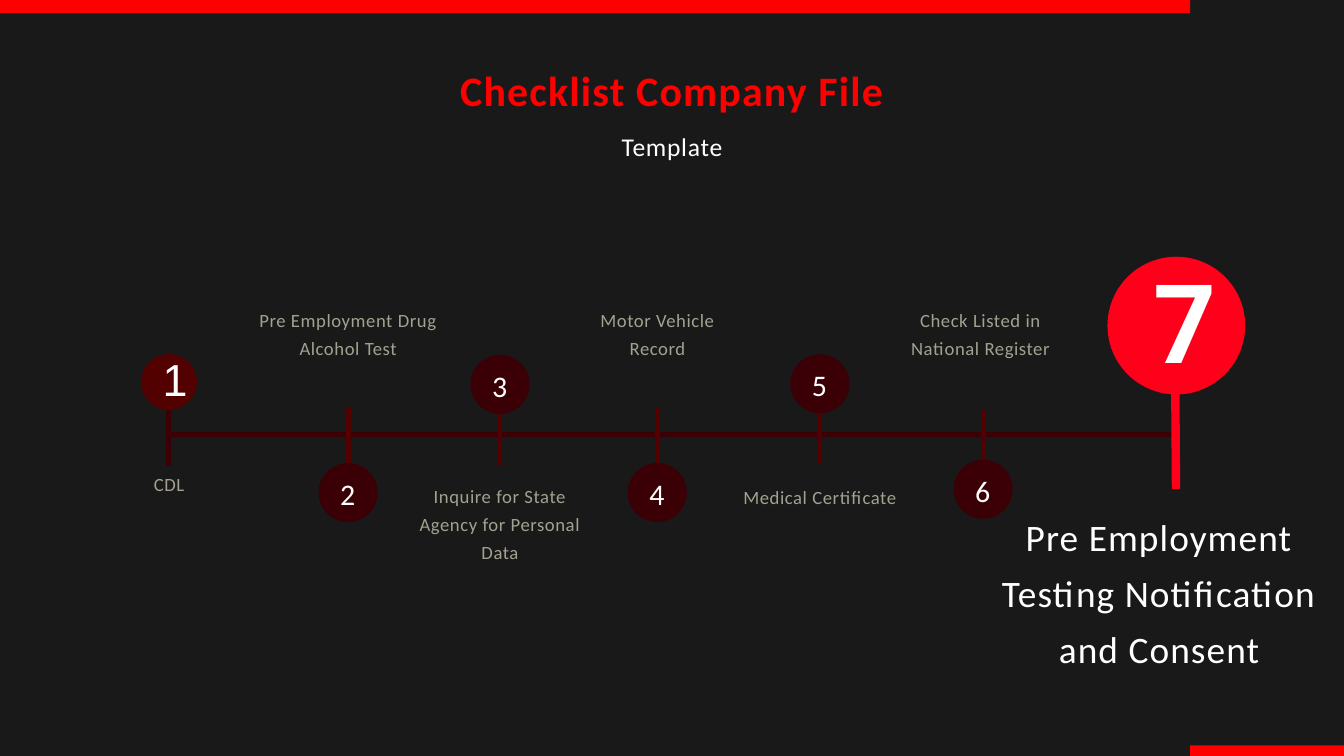
"""Build a seven-step timeline slide for a company file checklist."""
from lxml.etree import SubElement
from pptx import Presentation
from pptx.dml.color import RGBColor
from pptx.enum.shapes import MSO_CONNECTOR, MSO_SHAPE
from pptx.enum.text import MSO_ANCHOR, PP_ALIGN
from pptx.oxml.ns import qn
from pptx.util import Inches, Pt

RED, HOT_RED, MAROON, DARK_MAROON = "FF0000", "FF001B", "520000", "3B0006"
WHITE, GREY = "FFFFFF", "A3A190"
DISC_SIZE = 0.88

# number, centre x, disc top, tick top
SMALL_STEPS = [
    ("2", 5.18, 6.89, 6.06),
    ("3", 7.44, 5.28, 6.09),
    ("4", 9.78, 6.89, 6.06),
    ("5", 12.2, 5.27, 6.08),
    ("6", 14.63, 6.84, 6.1),
]
# caption, left, top, width, height
CAPTIONS = [
    ("CDL", 1.18, 6.95, 2.67, 0.4),
    ("Pre Employment Drug Alcohol Test", 3.79, 4.51, 2.78, 0.82),
    ("Inquire for State Agency for Personal Data", 6.24, 7.13, 2.4, 1.24),
    ("Motor Vehicle Record", 8.82, 4.51, 1.93, 0.82),
    ("Medical Certificate", 10.9, 7.14, 2.6, 0.41),
    ("Check Listed in National Register", 13.4, 4.51, 2.38, 0.82),
]


def color(value):
    """Return the colour for a hex string."""
    return RGBColor.from_string(value)


def add_filled(slide, kind, left, top, width, height, fill):
    """Add a preset shape with a plain fill and no outline."""
    shape = slide.shapes.add_shape(
        kind, Inches(left), Inches(top), Inches(width), Inches(height))
    shape.shadow.inherit = False
    shape.fill.solid()
    shape.fill.fore_color.rgb = color(fill)
    shape.line.fill.background()


def add_line(slide, start, end, line_color, weight=5.25):
    """Add a straight line between two points."""
    connector = slide.shapes.add_connector(
        MSO_CONNECTOR.STRAIGHT, *(Inches(value) for value in (*start, *end)))
    connector.line.color.rgb = color(line_color)
    connector.line.width = Pt(weight)
    SubElement(connector._element.spPr, qn("a:effectLst"))


def add_text(slide, text, left, top, width, height, size, line_height,
             font="Calibri", text_color=WHITE, bold=False, tracking=0,
             inset=0, anchor=MSO_ANCHOR.TOP):
    """Add a centred one-paragraph text box."""
    box = slide.shapes.add_textbox(
        Inches(left), Inches(top), Inches(width), Inches(height))
    frame = box.text_frame
    frame.word_wrap = True
    frame.vertical_anchor = anchor
    frame.margin_left = frame.margin_right = Inches(inset)
    frame.margin_top = frame.margin_bottom = Inches(inset)
    paragraph = frame.paragraphs[0]
    paragraph.alignment = PP_ALIGN.CENTER
    paragraph.line_spacing = Pt(line_height)
    run = paragraph.add_run()
    run.text = text
    run.font.name = font
    run.font.size = Pt(size)
    run.font.bold = bold
    run.font.color.rgb = color(text_color)
    if tracking:
        run._r.get_or_add_rPr().set("spc", str(round(tracking * 100)))


def add_small_step(slide, number, center, disc_top, tick_top):
    """Add a tick on the timeline with its numbered disc."""
    left = center - DISC_SIZE / 2
    add_line(slide, (center, tick_top + 0.83), (center, tick_top), MAROON)
    add_filled(slide, MSO_SHAPE.OVAL, left, disc_top, DISC_SIZE, DISC_SIZE,
               DARK_MAROON)
    add_text(slide, number, left + 0.08, disc_top - 0.02, 0.71, 0.82, 32, 48,
             tracking=1, inset=0.06, anchor=MSO_ANCHOR.MIDDLE)


def add_first_step(slide):
    """Add the opening step of the timeline."""
    add_filled(slide, MSO_SHAPE.OVAL, 2.1, 5.27, 0.83, 0.83, MAROON)
    add_text(slide, "1", 2.42, 5.37, 0.16, 0.69, 48, 48, font="Arial")
    add_line(slide, (2.51, 6.93), (2.51, 6.1), DARK_MAROON)


def add_current_step(slide):
    """Add the large highlighted step with its caption."""
    add_line(slide, (17.5, 7.28), (17.49, 5.81), HOT_RED, 9)
    add_filled(slide, MSO_SHAPE.OVAL, 16.48, 3.82, 2.05, 2.05, HOT_RED)
    add_text(slide, "7", 17.17, 4.1, 0.67, 1.71, 117.6, 117.6,
             font="Roboto", bold=True)
    add_text(slide, "Pre Employment Testing Notification and Consent",
             14.63, 7.49, 5.24, 2.43, 40, 60, tracking=1.2)


def main():
    """Build and save the slide."""
    presentation = Presentation()
    presentation.slide_width = Inches(20)
    presentation.slide_height = Inches(11.25)
    slide = presentation.slides.add_slide(presentation.slide_layouts[6])
    slide.background.fill.solid()
    slide.background.fill.fore_color.rgb = color("191919")

    add_line(slide, (2.48, 6.47), (17.49, 6.47), DARK_MAROON)
    add_text(slide, "Checklist Company File", 1.65, 0.9, 16.7, 0.78, 44.9,
             58.3, text_color=RED, bold=True, tracking=1.3)
    add_text(slide, "Template", 1.65, 1.83, 16.7, 0.51, 27.4, 41.1,
             tracking=0.8)
    add_filled(slide, MSO_SHAPE.RECTANGLE, 17.71, 11.09, 2.5, 0.18, RED)
    add_filled(slide, MSO_SHAPE.RECTANGLE, 0, 0, 17.71, 0.19, RED)

    add_first_step(slide)
    for step in SMALL_STEPS:
        add_small_step(slide, *step)
    for caption in CAPTIONS:
        add_text(slide, *caption, 20, 30, text_color=GREY, tracking=0.6)
    add_current_step(slide)
    presentation.save("out.pptx")


if __name__ == "__main__":
    main()
